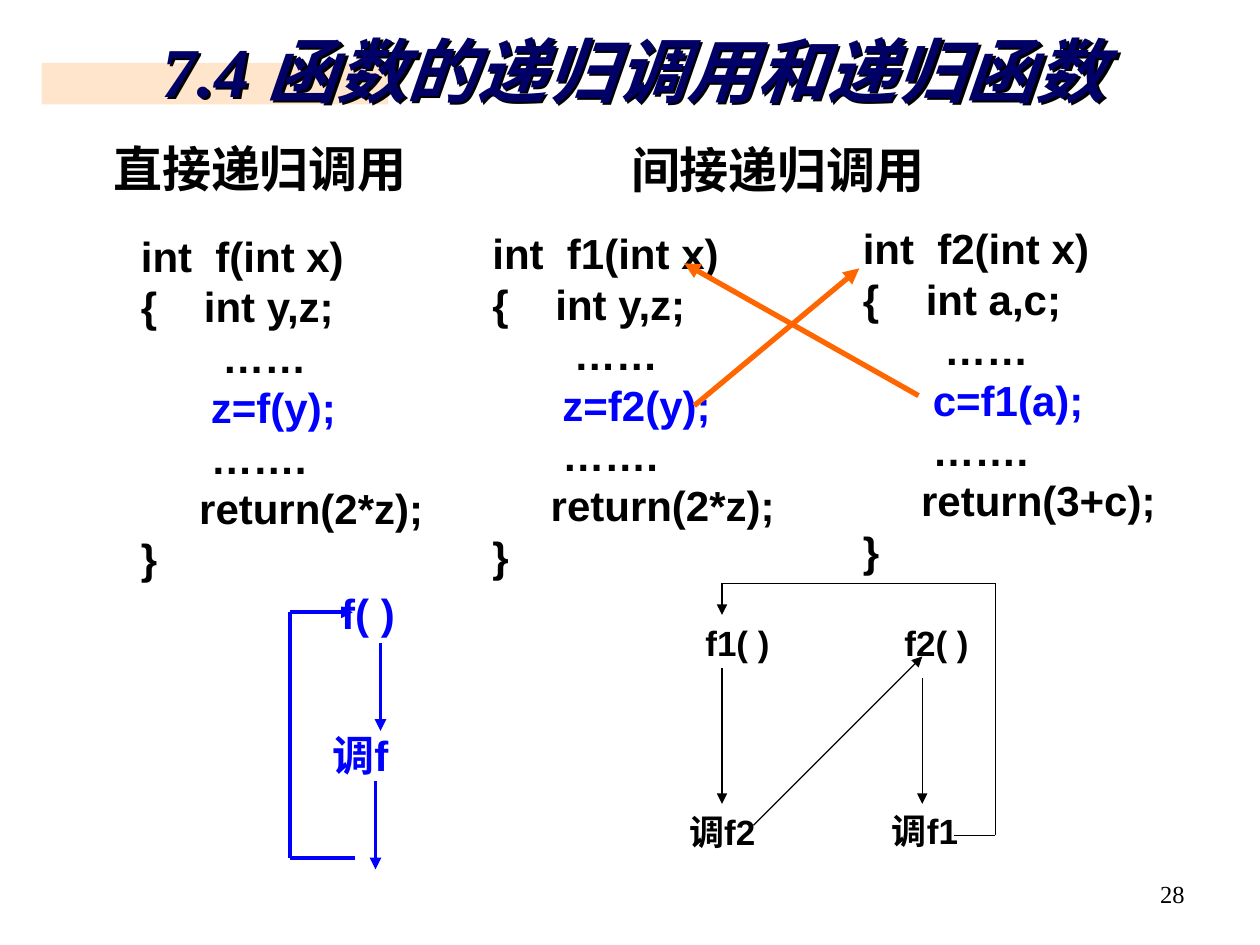
from dataclasses import dataclass
from itertools import pairwise

from lxml import etree
from pptx import Presentation
from pptx.dml.color import RGBColor
from pptx.enum.shapes import MSO_CONNECTOR, MSO_SHAPE
from pptx.enum.text import MSO_ANCHOR, MSO_AUTO_SIZE, PP_ALIGN
from pptx.oxml.ns import qn
from pptx.util import Inches, Pt

BLACK = RGBColor(0x00, 0x00, 0x00)
BLUE = RGBColor(0x00, 0x00, 0xFF)
NAVY = RGBColor(0x00, 0x00, 0x66)
ORANGE = RGBColor(0xFF, 0x66, 0x00)
PEACH = RGBColor(0xFF, 0xCC, 0x99)
SANS, SERIF = "Arial", "Times New Roman"
STRAIGHT = MSO_CONNECTOR.STRAIGHT
RECTANGLE = MSO_SHAPE.RECTANGLE
TOP, MIDDLE = MSO_ANCHOR.TOP, MSO_ANCHOR.MIDDLE
LEFT, CENTER, RIGHT = PP_ALIGN.LEFT, PP_ALIGN.CENTER, PP_ALIGN.RIGHT
GROW = MSO_AUTO_SIZE.SHAPE_TO_FIT_TEXT


@dataclass
class Label:
    text: str
    box: tuple[float, float, float, float]
    size: int
    color: RGBColor = BLACK
    font: str = SANS
    bold: bool = True
    anchor: MSO_ANCHOR = MIDDLE
    align: PP_ALIGN = LEFT
    wrap: bool = False


@dataclass
class Listing:
    """A recursive C function whose recursive call is highlighted."""
    name: str
    variables: str
    call: str
    result: str
    box: tuple[float, float, float, float]


@dataclass
class Route:
    """Straight segments through the points; an arrowhead ends the last one."""
    points: list[tuple[float, float]]
    color: RGBColor
    weight: float
    arrow: bool = True


def format_font(font, **values) -> None:
    color = values.pop("color")
    for attribute, value in values.items():
        setattr(font, attribute, value)
    font.color.rgb = color


def add_frame(slide, box, anchor, wrap):
    frame = slide.shapes.add_textbox(*map(Inches, box)).text_frame
    frame.word_wrap = wrap
    frame.auto_size = GROW
    frame.vertical_anchor = anchor
    return frame


def draw_label(slide, label: Label) -> None:
    paragraph = add_frame(slide, label.box, label.anchor, label.wrap).paragraphs[0]
    paragraph.alignment = label.align
    run = paragraph.add_run()
    run.text = label.text
    format_font(run.font, name=label.font, size=Pt(label.size),
                bold=label.bold, color=label.color)


def draw_listing(slide, listing: Listing) -> None:
    frame = add_frame(slide, listing.box, TOP, False)
    lines = [
        [(f"int  {listing.name}(int x)", BLACK)],
        [(f"{{    int {listing.variables};", BLACK)],
        [("       ……", BLACK)],
        [("      ", BLACK), (f"{listing.call};", BLUE)],
        [("      …….", BLACK)],
        [(f"     return({listing.result});", BLACK)],
        [("}", BLACK)],
    ]
    for number, line in enumerate(lines):
        paragraph = frame.add_paragraph() if number else frame.paragraphs[0]
        for text, color in line:
            run = paragraph.add_run()
            run.text = text
            format_font(run.font, name=SANS, size=Pt(24), bold=True, color=color)


def draw_route(slide, route: Route) -> None:
    for start, end in pairwise(route.points):
        segment = slide.shapes.add_connector(
            STRAIGHT, *map(Inches, (*start, *end)))
        segment.line.color.rgb = route.color
        segment.line.width = Pt(route.weight)
        properties = segment._element.spPr
        if route.arrow and end == route.points[-1]:
            etree.SubElement(properties.find(qn("a:ln")), qn("a:tailEnd"),
                             type="triangle")
        etree.SubElement(properties, qn("a:effectLst"))


def draw_title_band(slide) -> None:
    band = slide.shapes.add_shape(
        RECTANGLE, *map(Inches, (0.33, 0.5, 2.75, 0.33)))
    band.shadow.inherit = False
    band.line.fill.background()
    band.fill.solid()
    band.fill.fore_color.rgb = PEACH
    etree.SubElement(band._element.spPr.find(".//" + qn("a:srgbClr")),
                     qn("a:alpha"), val="50000")


def draw_title(slide, title) -> None:
    title.left, title.top, title.width, title.height = map(
        Inches, (0.4, 0.14, 9.26, 0.92))
    frame = title.text_frame
    frame.vertical_anchor = MIDDLE
    paragraph = frame.paragraphs[0]
    paragraph.alignment = CENTER
    paragraph.line_spacing = 0.85
    run = paragraph.add_run()
    run.text = "7.4 函数的递归调用和递归函数"
    format_font(run.font, name=SERIF, size=Pt(40), bold=True, italic=True,
                color=NAVY)
    # The box has no fill, so its shadow falls from the letters
    title.fill.background()
    effects = etree.SubElement(title._element.spPr, qn("a:effectLst"))
    shadow = etree.SubElement(effects, qn("a:outerShdw"), dist="25400", dir="2700000")
    etree.SubElement(shadow, qn("a:srgbClr"), val="000000")
    # Bring the title in front of the band
    slide.shapes._spTree.append(title._element)


LABELS = [
    # Headings and page number
    Label("直接递归调用", (0.8, 1.05, 2.55, 0.57), 28, font=SERIF, anchor=TOP),
    Label("间接递归调用", (4.91, 1.06, 2.55, 0.57), 28, font=SERIF, anchor=TOP),
    Label("28", (7.17, 6.93, 2.33, 0.52), 14, font=SERIF, bold=False,
          anchor=TOP, align=RIGHT, wrap=True),
    # Direct recursion
    Label("f( )", (2.61, 4.61, 0.66, 0.5), 24, BLUE),
    Label("调f", (2.54, 5.74, 0.76, 0.5), 24, BLUE),
    # Indirect recursion
    Label("f1( )", (5.5, 4.88, 0.73, 0.44), 20),
    Label("f2( )", (7.08, 4.88, 0.73, 0.44), 20),
    Label("调f2", (5.37, 6.38, 0.81, 0.44), 20),
    Label("调f1", (6.98, 6.21, 0.75, 0.77), 20, wrap=True),
]

LISTINGS = [
    Listing("f", "y,z", "z=f(y)", "2*z", (1.02, 1.78, 2.48, 2.9)),
    Listing("f1", "y,z", "z=f2(y)", "2*z", (3.81, 1.76, 2.48, 2.9)),
    Listing("f2", "a,c", "c=f1(a)", "3+c", (6.75, 1.72, 2.56, 2.9)),
]

ROUTES = [
    # Direct recursion: down twice, then back to f
    Route([(3.02, 5.1), (3.02, 5.8)], BLUE, 2.25),
    Route([(2.98, 6.2), (2.98, 6.9)], BLUE, 2.25),
    Route([(2.82, 6.81), (2.3, 6.81), (2.3, 4.86), (2.8, 4.86)], BLUE, 2.25),
    # Indirect recursion: f1 to f2 and back to f1
    Route([(5.73, 5.3), (5.73, 6.38)], BLACK, 0.75),
    Route([(5.98, 6.55), (7.32, 5.21)], BLACK, 0.75),
    Route([(7.32, 5.38), (7.32, 6.38)], BLACK, 0.75),
    Route([(7.57, 6.63), (7.9, 6.63), (7.9, 4.63), (5.73, 4.63), (5.73, 4.88)],
          BLACK, 0.75),
    # Calls between the two listings
    Route([(5.51, 3.22), (6.82, 2.13)], ORANGE, 3),
    Route([(7.29, 3.14), (5.43, 2.09)], ORANGE, 3),
]


def main() -> None:
    presentation = Presentation()
    presentation.slide_width, presentation.slide_height = Inches(10), Inches(7.5)
    slide = presentation.slides.add_slide(presentation.slide_layouts[5])
    draw_title_band(slide)
    draw_title(slide, slide.shapes.title)
    for label in LABELS:
        draw_label(slide, label)
    for listing in LISTINGS:
        draw_listing(slide, listing)
    for route in ROUTES:
        draw_route(slide, route)
    presentation.save("out.pptx")


if __name__ == "__main__":
    main()
